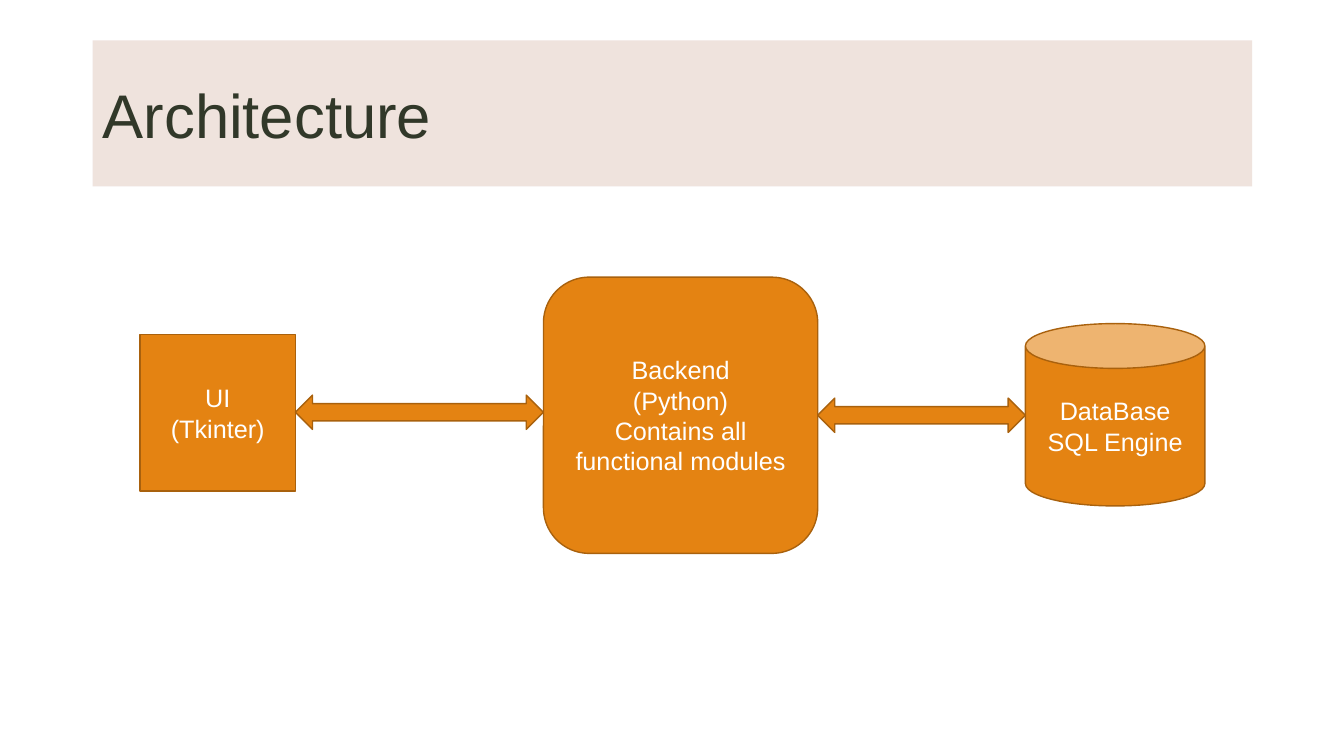
from dataclasses import dataclass

from lxml import etree
from pptx import Presentation
from pptx.dml.color import RGBColor
from pptx.enum.shapes import MSO_SHAPE
from pptx.enum.text import MSO_ANCHOR, PP_ALIGN
from pptx.oxml.ns import qn
from pptx.shapes.autoshape import Shape
from pptx.slide import Slide
from pptx.util import Inches, Pt

RECTANGLE = MSO_SHAPE.RECTANGLE
ROUNDED = MSO_SHAPE.ROUNDED_RECTANGLE
CAN = MSO_SHAPE.CAN
ARROW = MSO_SHAPE.LEFT_RIGHT_ARROW
MIDDLE = MSO_ANCHOR.MIDDLE
LEFT = PP_ALIGN.LEFT
CENTER = PP_ALIGN.CENTER


@dataclass(frozen=True)
class Theme:
    font: str = "Arial"
    band: RGBColor = RGBColor(0xEB, 0xDC, 0xD5)
    band_opacity: int = 80
    heading: RGBColor = RGBColor(0x31, 0x38, 0x29)
    node: RGBColor = RGBColor(0xE4, 0x83, 0x12)
    outline: RGBColor = RGBColor(0xA9, 0x61, 0x0D)
    label: RGBColor = RGBColor(0xFF, 0xFF, 0xFF)
    heading_size: int = 44
    label_size: int = 18
    outline_width: int = 1


@dataclass(frozen=True)
class Node:
    preset: MSO_SHAPE
    left: float
    top: float
    width: float
    height: float
    lines: tuple[str, ...] = ()

    @property
    def right(self) -> float:
        return self.left + self.width


THEME = Theme()
TITLE = Node(RECTANGLE, 0.92, 0.4, 11.5, 1.45, ("Architecture",))
INTERFACE = Node(RECTANGLE, 1.39, 3.32, 1.54, 1.55, ("UI", "(Tkinter)"))
BACKEND = Node(ROUNDED, 5.39, 2.75, 2.72, 2.74,
               ("Backend", "(Python)", "Contains all functional modules"))
DATABASE = Node(CAN, 10.17, 3.21, 1.78, 1.81, ("DataBase", "SQL Engine"))
ARROW_HEIGHT = 0.34


def add_node(slide: Slide, node: Node, fill: RGBColor) -> Shape:
    box = slide.shapes.add_shape(
        node.preset, Inches(node.left), Inches(node.top),
        Inches(node.width), Inches(node.height))
    box.shadow.inherit = False
    box.fill.solid()
    box.fill.fore_color.rgb = fill
    box.line.color.rgb = THEME.outline
    box.line.width = Pt(THEME.outline_width)
    return box


def write_lines(box: Shape, lines: tuple[str, ...], size: int,
                color: RGBColor, alignment: PP_ALIGN) -> None:
    frame = box.text_frame
    frame.word_wrap = True
    frame.vertical_anchor = MIDDLE
    formats = {"name": THEME.font, "size": Pt(size)}
    for index, line in enumerate(lines):
        para = frame.add_paragraph() if index else frame.paragraphs[0]
        para.alignment = alignment
        span = para.add_run()
        span.text = line
        for name, value in formats.items():
            setattr(span.font, name, value)
        span.font.color.rgb = color


def add_title(slide: Slide) -> None:
    box = add_node(slide, TITLE, THEME.band)
    box.line.fill.background()
    color = box.fill._xPr.find(qn("a:solidFill"))[0]
    etree.SubElement(color, qn("a:alpha"), val=str(THEME.band_opacity * 1000))
    write_lines(box, TITLE.lines, THEME.heading_size, THEME.heading, LEFT)


def add_link(slide: Slide, start: Node, end: Node, center: float) -> None:
    link = Node(ARROW, start.right, center - ARROW_HEIGHT / 2,
                end.left - start.right, ARROW_HEIGHT)
    add_node(slide, link, THEME.node)


def main() -> None:
    """Build the architecture slide and save the deck."""
    deck = Presentation()
    deck.slide_width, deck.slide_height = Inches(13.33), Inches(7.5)
    page = deck.slides.add_slide(deck.slide_layouts[6])
    add_title(page)
    for node in (INTERFACE, BACKEND, DATABASE):
        box = add_node(page, node, THEME.node)
        write_lines(box, node.lines, THEME.label_size, THEME.label, CENTER)
    add_link(page, INTERFACE, BACKEND, 4.09)
    add_link(page, BACKEND, DATABASE, 4.12)
    deck.save("out.pptx")


if __name__ == "__main__":
    main()
